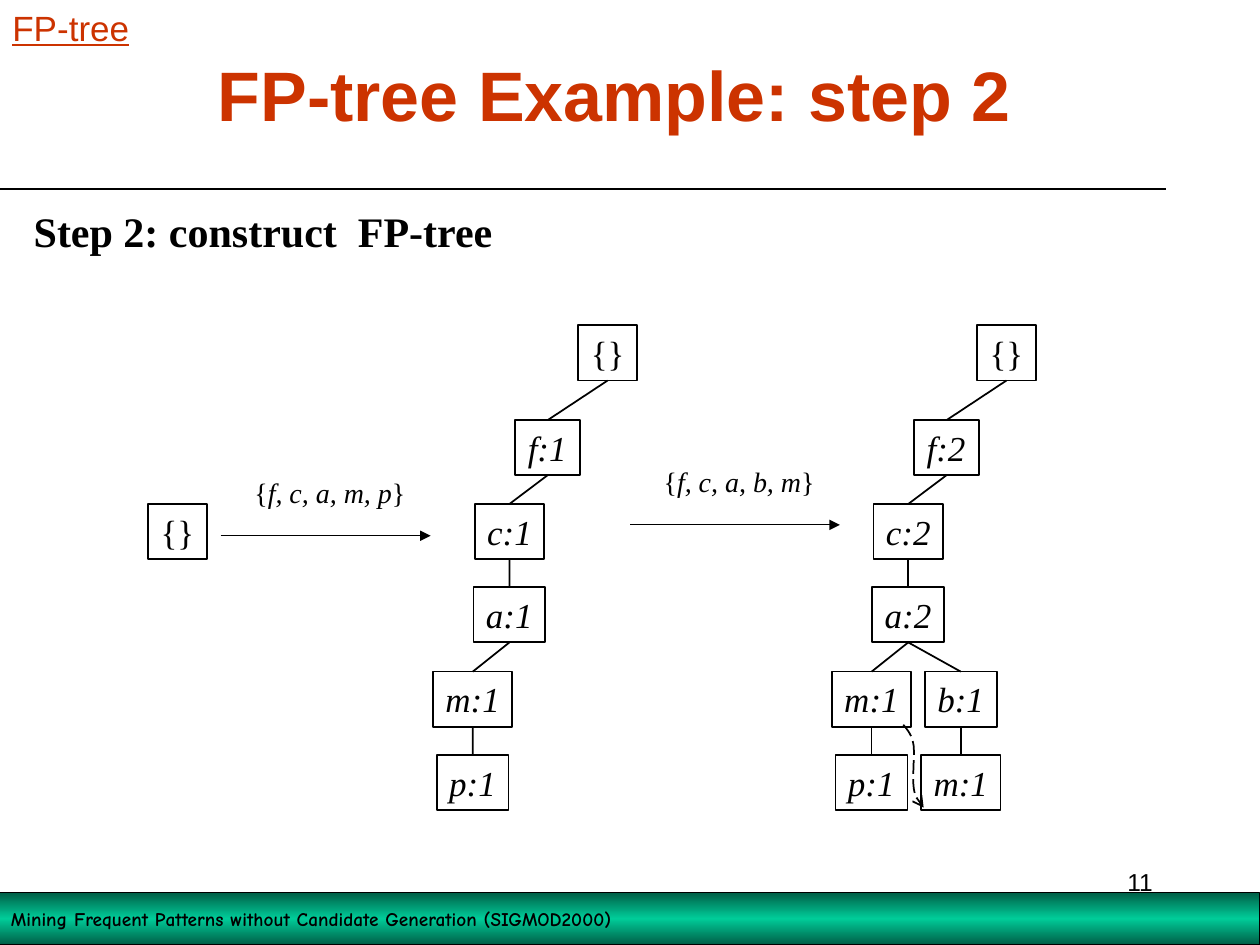
import copy

import pptx
import pptx.dml.color
import pptx.enum.dml
import pptx.enum.shapes
import pptx.enum.text
import pptx.oxml
import pptx.oxml.ns
import pptx.util

Cm = pptx.util.Cm
Pt = pptx.util.Pt
RGB = pptx.dml.color.RGBColor.from_string
ALIGN = pptx.enum.text.PP_ALIGN
ANCHOR = pptx.enum.text.MSO_ANCHOR
FIT = pptx.enum.text.MSO_AUTO_SIZE
SHAPE = pptx.enum.shapes.MSO_SHAPE
STRAIGHT = pptx.enum.shapes.MSO_CONNECTOR.STRAIGHT
SERIF = "Times New Roman"

theme = {
    "ink": RGB("000000"),
    "accent": RGB("CC3300"),
    "band": [RGB("005E46"), RGB("00CC99"), RGB("005E46")],
    "title": {"size": Pt(40), "name": "Arial", "bold": True},
    "topic": {"size": Pt(20), "name": "Arial", "underline": True},
    "heading": {"size": Pt(24), "name": SERIF, "bold": True},
    "root": {"size": Pt(20), "name": SERIF},
    "item": {"size": Pt(20), "name": SERIF, "italic": True},
    "brace": {"size": Pt(16), "name": SERIF},
    "transaction": {"size": Pt(16), "name": SERIF, "italic": True},
    "source": {"size": Pt(11), "name": "Comic Neue", "bold": True},
    "page": {"size": Pt(14), "name": "Arial"},
    "thin": Pt(0.75),
    "edge": Pt(1),
}


def write(holder, runs, color=theme["ink"], align=ALIGN.LEFT, **frame_format):
    frame = holder.text_frame
    settings = {"word_wrap": False, "auto_size": FIT.NONE, "vertical_anchor": ANCHOR.TOP}
    for key, value in (settings | frame_format).items():
        setattr(frame, key, value)
    paragraph = frame.paragraphs[0]
    paragraph.alignment = align
    for words, style in runs:
        run = paragraph.add_run()
        run.text = words
        run.font.color.rgb = color
        for key, value in theme[style].items():
            setattr(run.font, key, value)


def stroke(outline, width, tip=None, dash=None):
    outline.line.color.rgb = theme["ink"]
    outline.line.width = width
    if dash:
        outline.line.dash_style = dash
    properties = outline._element.spPr
    if tip:
        tail = pptx.oxml.parse_xml(f'<a:tailEnd {pptx.oxml.ns.nsdecls("a")} type="{tip}"/>')
        properties.find(pptx.oxml.ns.qn("a:ln")).append(tail)
    properties.append(pptx.oxml.parse_xml(f'<a:effectLst {pptx.oxml.ns.nsdecls("a")}/>'))


deck = pptx.Presentation()
deck.slide_width, deck.slide_height = Cm(25.4), Cm(19.05)
slide = deck.slides.add_slide(deck.slide_layouts[6])
shapes = slide.shapes

rule = shapes.add_connector(STRAIGHT, Cm(0), Cm(3.81), Cm(23.5), Cm(3.81))
stroke(rule, theme["thin"])

footer = shapes.add_shape(SHAPE.RECTANGLE, Cm(-0.03), Cm(17.99), Cm(25.42), Cm(1.06))
footer.fill.gradient()
footer.fill.gradient_angle = 90
stops = footer._element.spPr.find(".//" + pptx.oxml.ns.qn("a:gsLst"))
stops.insert(1, copy.deepcopy(stops[0]))
for stop, color, position in zip(footer.fill.gradient_stops, theme["band"], (0, 0.5, 1)):
    stop.color.rgb = color
    stop.position = position
stroke(footer, theme["thin"])
write(footer, [("Mining Frequent Patterns without Candidate Generation (SIGMOD2000)", "source")],
      vertical_anchor=ANCHOR.MIDDLE)

title = shapes.add_textbox(Cm(0), Cm(0.84), Cm(24.77), Cm(2.08))
write(title, [("FP-tree Example: step 2", "title")], theme["accent"], ALIGN.CENTER,
      word_wrap=True, vertical_anchor=ANCHOR.MIDDLE)
topic = shapes.add_textbox(Cm(0), Cm(0), Cm(2.87), Cm(1.11))
write(topic, [("FP-tree", "topic")], theme["accent"], auto_size=FIT.SHAPE_TO_FIT_TEXT)
heading = shapes.add_textbox(Cm(0.43), Cm(4.01), Cm(9.75), Cm(1.27))
write(heading, [("Step 2: construct  FP-tree", "heading")], auto_size=FIT.SHAPE_TO_FIT_TEXT)

node_height = 1.11
level_tops = [6.56, 8.47, 10.16, 11.84, 13.54, 15.22]
node_widths = {"{": 1.18, "f": 1.3, "c": 1.4, "a": 1.45, "m": 1.6, "p": 1.45, "b": 1.45}
trunk = [12.25, 11.04, 10.27, 10.27, 9.53, 9.53]
branch = 11.33
tree_shift = 8.04

start_tree = [("{}", 3.58, 2, None)]
first_tree = [
    (label, center, level, level - 1 if level else None)
    for level, (label, center) in enumerate(zip(["{}", "f:1", "c:1", "a:1", "m:1", "p:1"], trunk))
]
second_tree = [
    (label, center + tree_shift, level, level - 1 if level else None)
    for level, (label, center) in enumerate(zip(["{}", "f:2", "c:2", "a:2", "m:1", "p:1"], trunk))
] + [("b:1", branch + tree_shift, 4, 3), ("m:1", branch + tree_shift, 5, 6)]

for tree in (start_tree, first_tree, second_tree):
    nodes = []
    for label, center, level, parent in tree:
        width = node_widths[label[0]]
        node = shapes.add_shape(SHAPE.RECTANGLE, Cm(center - width / 2), Cm(level_tops[level]),
                                Cm(width), Cm(node_height))
        node.fill.background()
        stroke(node, theme["edge"])
        write(node, [(label, "root" if label == "{}" else "item")], margin_right=Cm(0.1))
        nodes.append(node)
        if parent is not None:
            edge = shapes.add_connector(STRAIGHT, 0, 0, 0, 0)
            edge.begin_connect(nodes[parent], 2)
            edge.end_connect(node, 0)
            stroke(edge, theme["edge"])

for items, label_left, label_top, arrow_left, arrow_y in [
    ("f, c, a, m, p", 4.88, 9.46, 4.45, 10.8),
    ("f, c, a, b, m", 13.13, 9.25, 12.7, 10.58),
]:
    transaction = shapes.add_textbox(Cm(label_left), Cm(label_top), Cm(3.56), Cm(0.94))
    write(transaction, [("{", "brace"), (items, "transaction"), ("}", "brace")],
          auto_size=FIT.SHAPE_TO_FIT_TEXT)
    arrow = shapes.add_connector(STRAIGHT, Cm(arrow_left), Cm(arrow_y),
                                 Cm(arrow_left + 4.23), Cm(arrow_y))
    stroke(arrow, theme["thin"], tip="triangle")

link_curves = [
    [(18.21, 14.61), (18.29, 14.71), (18.39, 14.81), (18.42, 15.04)],
    [(18.42, 15.04), (18.44, 15.24), (18.39, 15.67), (18.42, 15.88)],
    [(18.42, 15.88), (18.44, 16.08), (18.54, 16.18), (18.62, 16.28)],
]
steps = 8
link_points = []
for curve in link_curves:
    for step in range(1, steps + 1):
        t = step / steps
        weights = [(1 - t) ** 3, 3 * t * (1 - t) ** 2, 3 * t ** 2 * (1 - t), t ** 3]
        link_points.append(tuple(
            Cm(sum(weight * point[axis] for weight, point in zip(weights, curve)))
            for axis in (0, 1)))
link_start = link_curves[0][0]
link_builder = shapes.build_freeform(Cm(link_start[0]), Cm(link_start[1]))
link_builder.add_line_segments(link_points, close=False)
node_link = link_builder.convert_to_shape()
node_link.fill.background()
stroke(node_link, theme["edge"], tip="arrow", dash=pptx.enum.dml.MSO_LINE.LONG_DASH)

page = shapes.add_textbox(Cm(18.21), Cm(17.35), Cm(5.28), Cm(1.27))
write(page, [("11", "page")], align=ALIGN.RIGHT, word_wrap=True)

deck.save("out.pptx")
